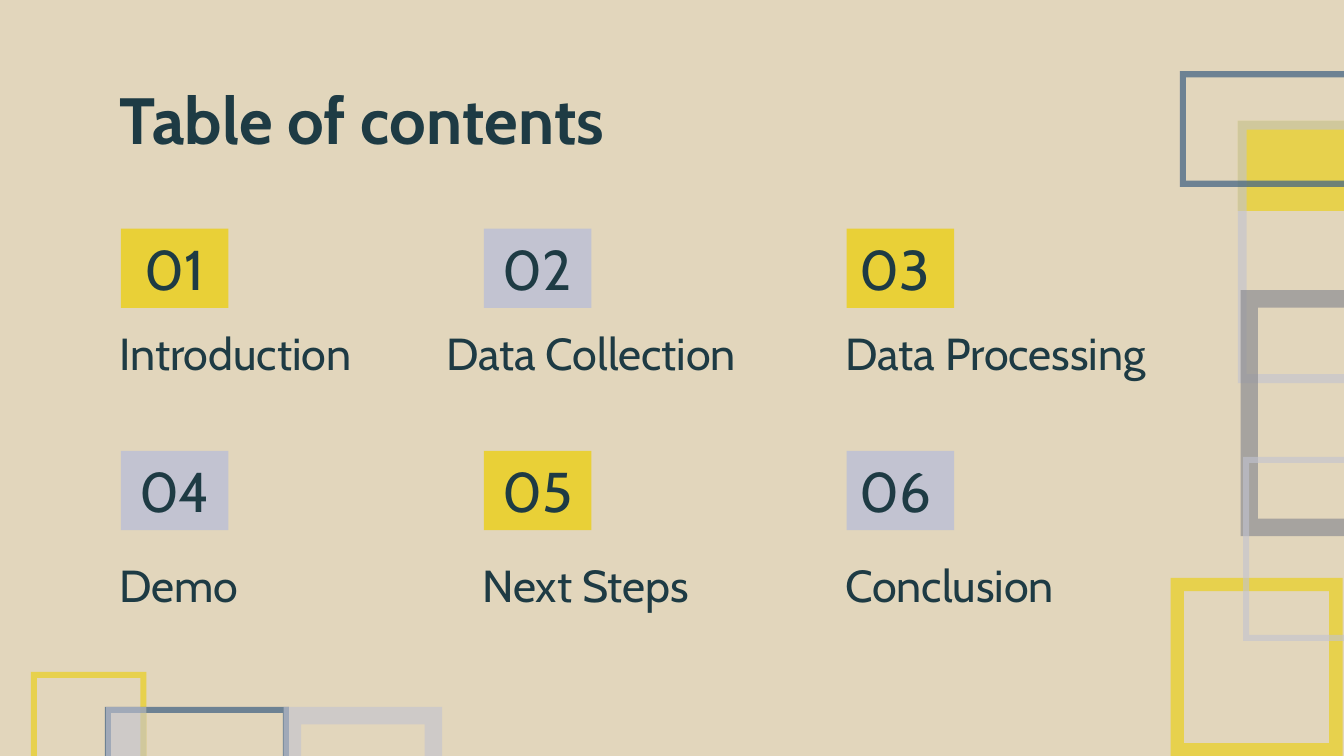
from pptx import Presentation, util as u
from pptx.dml.color import RGBColor
from pptx.enum import shapes, text
from pptx.oxml import parse_xml
from pptx.oxml.ns import nsdecls

COLORS = {"sand": "E2D6BC", "ink": "1E3B44", "yellow": "E9D037",
          "lilac": "C2C3D1", "grey": "8D8E93", "blue": "456685"}
OPACITY = {"yellow": 83, "lilac": 60, "grey": 70, "blue": 74}
WIDTH, HEIGHT = u.Inches(10), u.Inches(5.625)
FONT = "Cabin"
LEFT, CENTER = text.PP_ALIGN.LEFT, text.PP_ALIGN.CENTER
TOP, MIDDLE, BOTTOM = (text.MSO_ANCHOR.TOP, text.MSO_ANCHOR.MIDDLE,
                       text.MSO_ANCHOR.BOTTOM)


def across(share):
    """Percent of the slide's width."""
    return int(WIDTH * share / 100)


def down(share):
    """Percent of the slide's height."""
    return int(HEIGHT * share / 100)


def place(left, top, width, height):
    return across(left), down(top), across(width), down(height)


def paint(shape, color, opacity=100):
    shape.shadow.inherit = False
    shape.line.fill.background()
    shape.fill.solid()
    shape.fill.fore_color.rgb = RGBColor.from_string(COLORS[color])
    if opacity < 100:
        tint = shape.fill._xPr.solidFill[0]
        tint.append(parse_xml(
            f'<a:alpha {nsdecls("a")} val="{opacity * 1000}"/>'))


def write(shape, words, size, bold=False, align=LEFT, anchor=TOP):
    frame = shape.text_frame
    frame.word_wrap = True
    frame.auto_size = text.MSO_AUTO_SIZE.NONE
    frame.vertical_anchor = anchor
    frame.margin_left = frame.margin_right = u.Inches(0.1)
    frame.margin_top = frame.margin_bottom = u.Inches(0.1)
    paragraph = frame.paragraphs[0]
    paragraph.alignment = align
    run = paragraph.add_run()
    run.text = words
    run.font.name, run.font.size, run.font.bold = FONT, u.Pt(size), bold
    run.font.color.rgb = RGBColor.from_string(COLORS["ink"])


def add_block(slide, box, color, opacity=100):
    block = slide.shapes.add_shape(shapes.MSO_SHAPE.RECTANGLE, *place(*box))
    paint(block, color, opacity)
    return block


def add_hollow(slide, box, thickness, color):
    """Rectangular outline of even thickness, with an open middle."""
    left, top, width, height = place(*box)
    right, bottom, edge = left + width, top + height, across(thickness)
    builder = slide.shapes.build_freeform(left, top)
    builder.add_line_segments([(left, bottom), (right, bottom), (right, top)])
    builder.move_to(left + edge, top + edge)
    builder.add_line_segments([(right - edge, top + edge),
                               (right - edge, bottom - edge),
                               (left + edge, bottom - edge)])
    paint(builder.convert_to_shape(), color, OPACITY[color])


def add_decoration(slide, corner, parts):
    """Overlapping rectangles, offset from a corner; no thickness means solid."""
    x, y = corner
    for dx, dy, width, height, thickness, color in parts:
        box = (x + dx, y + dy, width, height)
        if thickness:
            add_hollow(slide, box, thickness, color)
        else:
            add_block(slide, box, color, OPACITY[color])


def add_title(slide, box, words):
    title = slide.shapes.title
    title.left, title.top, title.width, title.height = place(*box)
    write(title, words, 35, bold=True)


def add_entry(slide, corner, number, label, align, label_box):
    """Numbered tile with its label; label_box is relative to the tile."""
    x, y = corner
    color = "yellow" if number % 2 else "lilac"
    tile = add_block(slide, (x, y, 8, 10.49), color)
    write(tile, f"{number:02d}", 30, align=align, anchor=MIDDLE)
    dx, dy, width, height = label_box
    caption = slide.shapes.add_textbox(*place(x + dx, y + dy, width, height))
    write(caption, label, 24, anchor=BOTTOM)


def add_contents(slide, corner, pitch, rows, label_rows):
    x, y = corner
    number = 0
    for row, labels in enumerate(rows):
        for column, label in enumerate(labels):
            number += 1
            # The longer labels get wider boxes; one also starts further left
            shift, width = LABEL_FIT.get(label, (-1.1, 25.2))
            add_entry(slide, (x + column * pitch[0], y + row * pitch[1]),
                      number, label, LEFT if column == 2 else CENTER,
                      (shift, label_rows[row][0], width, label_rows[row][1]))


LABEL_FIT = {"Data Collection": (-3.8, 27.9), "Data Processing": (-1.1, 29.2)}
ENTRIES = [["Introduction", "Data Collection", "Data Processing"],
           ["Demo", "Next Steps", "Conclusion"]]
# Offsets and sizes in percent of the slide: x, y, width, height, thickness
RIGHT_PARTS = [
    (5, 6.58, 12.2, 11.91, 0, "yellow"),
    (5, 6.58, 12.2, 34.67, 0.65, "lilac"),
    (0, 67.02, 12.8, 23.64, 1, "yellow"),
    (5.2, 28.98, 11.8, 32.53, 1.3, "grey"),
    (5.4, 51.02, 8.6, 24.36, 0.45, "lilac"),
    (0.7, 0, 13.7, 15.29, 0.45, "blue"),
]
BOTTOM_PARTS = [
    (0, 0, 8.6, 24.36, 0.45, "yellow"),
    (5.5, 4.62, 13.7, 15.29, 0.45, "blue"),
    (18.8, 4.62, 11.8, 32.53, 1.3, "lilac"),
    (5.6, 4.62, 3, 15.29, 0, "lilac"),
]


def main():
    deck = Presentation()
    deck.slide_width, deck.slide_height = WIDTH, HEIGHT
    slide = deck.slides.add_slide(deck.slide_layouts[5])
    slide.background.fill.solid()
    slide.background.fill.fore_color.rgb = RGBColor.from_string(COLORS["sand"])

    add_decoration(slide, (87.1, 9.42), RIGHT_PARTS)
    add_decoration(slide, (2.3, 88.89), BOTTOM_PARTS)
    add_title(slide, (7.9, 8.71, 84.3, 11.2), "Table of contents")
    add_contents(slide, (9, 30.26), (27, 29.37), ENTRIES,
                 label_rows=[(14.72, 6.93), (15.4, 7.64)])
    deck.save("out.pptx")


if __name__ == "__main__":
    main()
